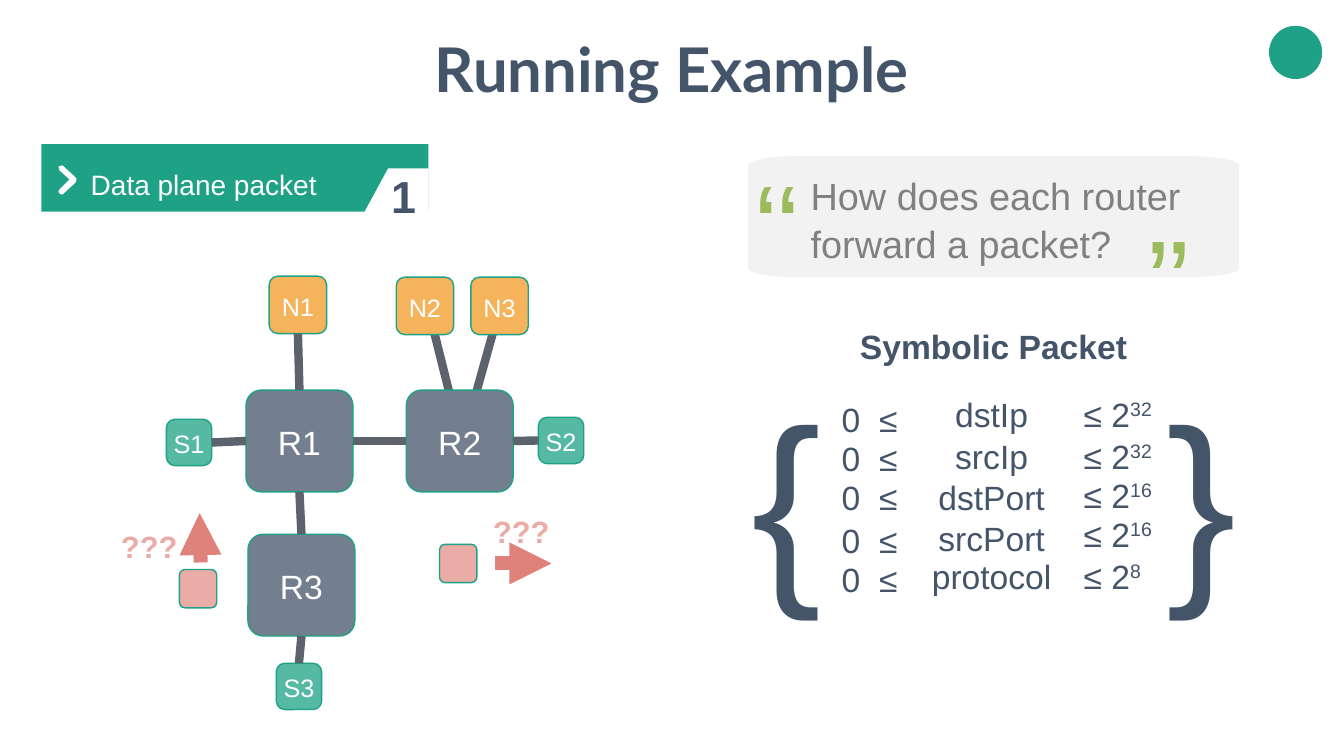
import math
from dataclasses import dataclass

import pptx
import pptx.util
import pptx.dml.color
import pptx.enum.shapes
import pptx.enum.text
import pptx.oxml
import pptx.oxml.ns

PX = 9144  # 100 px to the inch
SHAPE = pptx.enum.shapes.MSO_SHAPE
ALIGN = pptx.enum.text.PP_ALIGN
ANCHOR = pptx.enum.text.MSO_ANCHOR
FIT = pptx.enum.text.MSO_AUTO_SIZE
TOP, LEFT, BOTTOM, RIGHT = range(4)


@dataclass(frozen=True)
class Theme:
    font: str = "Arial"
    head: str = "Lato"
    white: str = "FFFFFF"
    green: str = "1EA185"
    mint: str = "56B9A3"
    amber: str = "F5B45C"
    slate: str = "737F8E"
    ink: str = "445469"
    link: str = "5C636C"
    pink: str = "E9ACA7"
    red: str = "DE827B"
    pale: str = "F2F2F2"
    gray: str = "808080"
    lime: str = "9BBB5C"
    title: int = 44
    brace: int = 150
    quote: int = 83
    digit: int = 32
    ask: int = 27
    body: int = 24
    mark: int = 22
    tag: int = 20
    small: int = 18
    lead: float = 1.07


T = Theme()


def rgb(code):
    return pptx.dml.color.RGBColor.from_string(code)


def paint(shape, fill, line=None, width=1):
    shape.shadow.inherit = False
    shape.fill.solid()
    shape.fill.fore_color.rgb = rgb(fill)
    if line:
        shape.line.color.rgb = rgb(line)
        shape.line.width = pptx.util.Pt(width)
    else:
        shape.line.fill.background()


def add_run(par, text, size, color, bold=False, font=T.font, **attrs):
    run = par.add_run()
    run.text = text
    run.font.name = font
    run.font.size = pptx.util.Pt(size)
    run.font.bold = bold
    run.font.color.rgb = rgb(color)
    for key, value in attrs.items():
        run.font._element.set(key, str(value))


def set_frame(frame, pad, wrap=False, fit=FIT.SHAPE_TO_FIT_TEXT, anchor=ANCHOR.TOP):
    sides = ("left", "top", "right", "bottom")
    for side, size in zip(sides, pad):
        setattr(frame, "margin_" + side, size * PX)
    frame.word_wrap = wrap
    frame.auto_size = fit
    frame.vertical_anchor = anchor


def add_text(slide, box, lines, size, color, pad=(3, 5, 3, 5), align=ALIGN.LEFT,
             bold=False, lead=T.lead, wrap=False, fit=FIT.SHAPE_TO_FIT_TEXT):
    """Each line is a list of (text, run attributes)."""
    frame = slide.shapes.add_textbox(*(n * PX for n in box)).text_frame
    set_frame(frame, pad, wrap, fit)
    for i, line in enumerate(lines):
        par = frame.add_paragraph() if i else frame.paragraphs[0]
        par.alignment = align
        par.line_spacing = lead
        for text, attrs in line:
            add_run(par, text, size, color, bold, **attrs)


def add_shape(slide, kind, box, fill, line=None, width=1):
    shape = slide.shapes.add_shape(kind, *(n * PX for n in box))
    paint(shape, fill, line, width)
    return shape


def add_path(slide, left, top, points, fill):
    spots = [(round((left + x) * PX), round((top + y) * PX)) for x, y in points]
    form = slide.shapes.build_freeform(*spots[0], scale=1.0)
    form.add_line_segments(spots[1:], close=True)
    paint(form.convert_to_shape(), fill)


def add_line(slide, start, end, color, width, arrow=False):
    line = slide.shapes.add_connector(pptx.enum.shapes.MSO_CONNECTOR.STRAIGHT,
                                      *(n * PX for n in (*start, *end)))
    line.line.color.rgb = rgb(color)
    line.line.width = pptx.util.Pt(width)
    props = line._element.spPr
    if arrow:
        tip = pptx.oxml.parse_xml(
            f'<a:tailEnd {pptx.oxml.ns.nsdecls("a")} type="triangle"/>')
        line.line._get_or_add_ln().append(tip)
    props.append(pptx.oxml.parse_xml(f'<a:effectLst {pptx.oxml.ns.nsdecls("a")}/>'))
    return line


def add_node(slide, box, fill, round_off, label="", size=T.small):
    node = add_shape(slide, SHAPE.ROUNDED_RECTANGLE, box, fill, T.green)
    node.adjustments[0] = round_off
    if label:
        set_frame(node.text_frame, (0, 0, 0, 0), fit=FIT.NONE, anchor=ANCHOR.MIDDLE)
        par = node.text_frame.paragraphs[0]
        par.alignment = ALIGN.CENTER
        par.line_spacing = T.lead
        add_run(par, label, size, T.white)
    return node


def draw_head(slide, box):
    title = slide.shapes.title
    title.left, title.top, title.width, title.height = (n * PX for n in box)
    set_frame(title.text_frame, (3, 5, 3, 5))
    par = title.text_frame.paragraphs[0]
    par.alignment = ALIGN.CENTER
    add_run(par, "Running Example", T.title, T.ink, True, T.head)
    # Corner dot
    add_shape(slide, SHAPE.OVAL, (1259, 26, 52, 52), T.green, T.green, 0.5)


def draw_banner(slide, box):
    x, y, w, h = box
    add_shape(slide, SHAPE.RECTANGLE, box, T.green)
    # Notch for the number, then the chevron
    add_path(slide, x + w, y, [(0, 24), (-40, 24), (-65, 70), (0, 70)], T.white)
    add_path(slide, x + 17, y + 20,
             [(1, 25), (11, 15), (1, 6), (0, 2), (4, 1), (17, 13),
              (18, 15), (17, 18), (4, 30), (1, 29), (0, 27)], T.white)
    add_text(slide, (x + 43, y + 11, 296, 54), [[("Data plane packet", {})]], T.tag,
             T.white, (6, 6, 6, 6), lead=1.18, wrap=True, fit=FIT.NONE)
    add_text(slide, (x + 342, y + 16, 32, 54), [[("1", {})]], T.digit, T.ink,
             (5, 5, 5, 5), ALIGN.RIGHT, True, wrap=True, fit=FIT.NONE)


def draw_net(slide, box):
    x, y = box[:2]
    # Slanted links run behind the nodes
    for start, end in (((290, 153), (256, 17)), ((296, 156), (334, 20))):
        add_line(slide, (x + start[0], y + start[1]), (x + end[0], y + end[1]), T.link, 6)
    # Nodes by kind: width, height, fill, corner, text size, places
    kinds = (
        (57, 57, T.amber, 0.15, T.small, {"N1": (102, 0), "N2": (228, 1), "N3": (302, 1)}),
        (106, 101, T.slate, 0.15, T.body, {"R1": (79, 113), "R2": (238, 113), "R3": (81, 256)}),
        (45, 46, T.mint, 0.19, T.small, {"S1": (0, 142), "S2": (369, 140), "S3": (109, 384)}),
    )
    nodes = {}
    for w, h, fill, corner, size, places in kinds:
        for name, (dx, dy) in places.items():
            nodes[name] = add_node(slide, (x + dx, y + dy, w, h), fill, corner, name, size)
    # Straight links joined side to side
    for a, out, b, into in (("N1", BOTTOM, "R1", TOP), ("S1", RIGHT, "R1", LEFT),
                            ("R1", RIGHT, "R2", LEFT), ("R2", RIGHT, "S2", LEFT),
                            ("R1", BOTTOM, "R3", TOP), ("R3", BOTTOM, "S3", TOP)):
        line = add_line(slide, (x, y), (x, y), T.link, 6)
        line.begin_connect(nodes[a], out)
        line.end_connect(nodes[b], into)


def draw_packet(slide, box, start, end, mark):
    x, y = box[:2]
    add_node(slide, box, T.pink, 0.15)
    add_line(slide, (x + start[0], y + start[1]), (x + end[0], y + end[1]), T.red, 10, True)
    add_text(slide, (x + mark[0], y + mark[1], 62, 47), [[("???", {})]], T.mark,
             T.pink, bold=True)


def draw_quote(slide, box):
    x, y, w, h = box
    rx, ry = 47, 9
    # Panel with flat elliptic corners
    points = []
    for turn, (cx, cy) in enumerate(((w - rx, h - ry), (rx, h - ry), (rx, ry), (w - rx, ry))):
        for step in range(9):
            angle = math.pi / 2 * (turn + step / 8)
            points.append((cx + rx * math.cos(angle), cy + ry * math.sin(angle)))
    add_path(slide, x, y, points, T.pale)
    pad = (5, 5, 5, 5)
    add_text(slide, (x + 57, y + 8, 445, 101),
             [[("How does each router", {})], [("forward a packet?", {})]],
             T.ask, T.gray, pad, wrap=True)
    for dx, dy, w, text in ((-20, -19, 98, "‘‘"), (380, 35, 75, "’’")):
        add_text(slide, (x + dx, y + dy, w, 150), [[(text, {"spc": -150})]],
                 T.quote, T.lime, pad, ALIGN.CENTER, wrap=True)


def draw_set(slide, box):
    x, y = box[:2]
    add_text(slide, (x + 108, y, 273, 50), [[("Symbolic Packet", {})]], T.body, T.ink,
             bold=True)
    for dx, brace in ((0, "{"), (412, "}")):
        add_text(slide, (x + dx, y + 26, 75, 263), [[(brace, {})]], T.brace, T.ink)
    # Field, power of two, and the tops of lower bound, field and upper bound
    rows = (("dstIp", "32", 72, 67, 67), ("srcIp", "32", 111, 109, 109),
            ("dstPort", "16", 149, 149, 147), ("srcPort", "16", 192, 190, 186),
            ("protocol", "8", 231, 228, 228))
    pad = (10, 5, 10, 5)
    for name, power, low, mid, high in rows:
        add_text(slide, (x + 83, y + low, 76, 50),
                 [[("0", {}), (" ", {"spc": 667}), ("≤", {})]], T.body, T.ink, pad)
        add_text(slide, (x + 179, y + mid, 125, 50), [[(name, {})]], T.body, T.ink,
                 align=ALIGN.CENTER)
        add_text(slide, (x + 323, y + high, 79 if len(power) == 1 else 92, 50),
                 [[("≤ 2", {}), (power, {"baseline": 32000})]], T.body, T.ink, pad)


def main():
    deck = pptx.Presentation()
    deck.slide_width, deck.slide_height = 1333 * PX, 750 * PX
    slide = deck.slides.add_slide(deck.slide_layouts[5])
    draw_head(slide, (410, 26, 513, 84))
    draw_banner(slide, (41, 143, 384, 67))
    draw_net(slide, (165, 274, 414, 430))
    draw_packet(slide, (436, 540, 37, 38), (55, 19), (111, 19), (50, -39))
    draw_packet(slide, (178, 565, 37, 38), (21, -7), (20, -56), (-61, -49))
    draw_quote(slide, (742, 155, 487, 120))
    draw_set(slide, (742, 316, 487, 289))
    deck.save("out.pptx")


if __name__ == "__main__":
    main()
